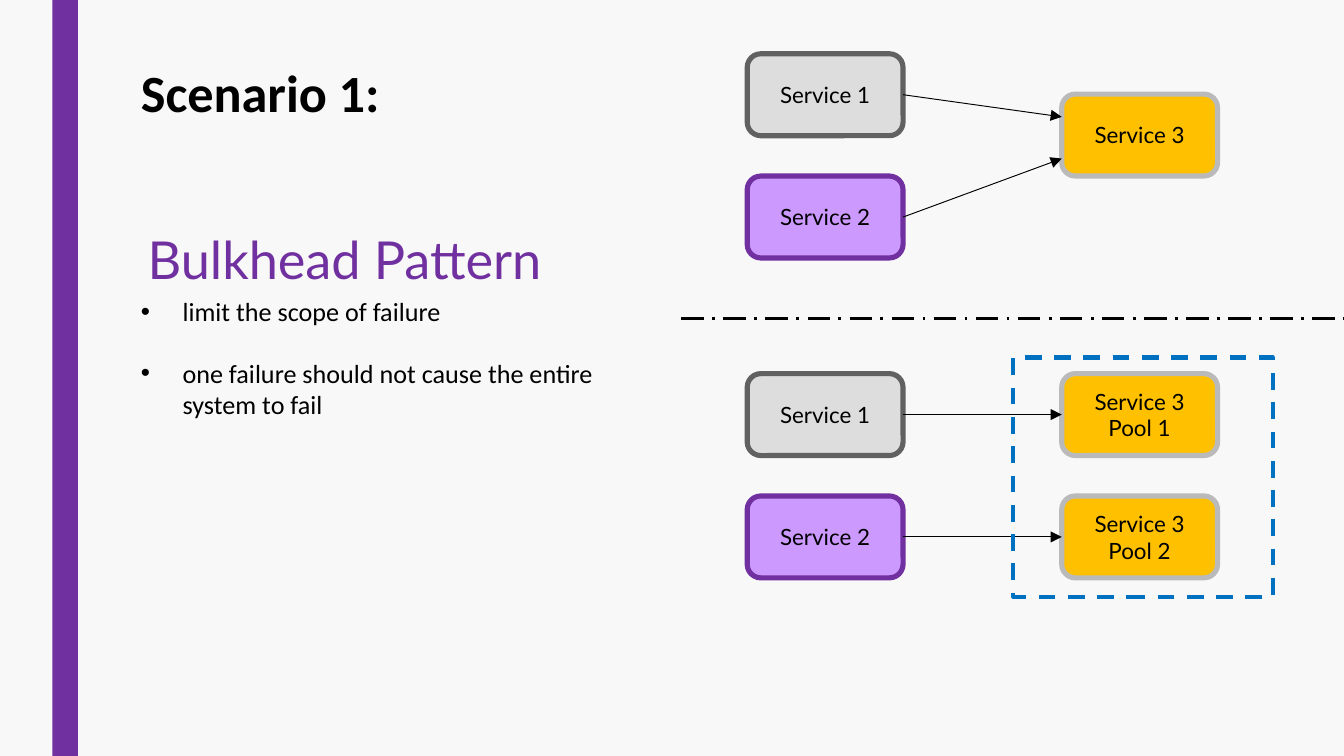
"""Build the Bulkhead Pattern slide comparing shared and pooled services."""
from dataclasses import dataclass

import pptx
import pptx.dml.color
import pptx.enum.dml
import pptx.enum.shapes
import pptx.enum.text
import pptx.oxml
import pptx.oxml.ns
import pptx.util

Inches = pptx.util.Inches
Pt = pptx.util.Pt
SHAPES = pptx.enum.shapes.MSO_SHAPE
ANCHOR = pptx.enum.text.MSO_ANCHOR
ALIGN = pptx.enum.text.PP_ALIGN
DASH = pptx.enum.dml.MSO_LINE

COLORS = {
    "background": "F8F8F8", "purple": "7030A0", "lilac": "CC99FF",
    "grey": "DDDDDD", "dark_grey": "616161", "amber": "FFC000",
    "silver": "BABABA", "blue": "0070C0", "black": "000000",
}
SLIDE_WIDTH = 10
SLIDE_HEIGHT = SLIDE_WIDTH * 9 / 16
BOX_WIDTH, BOX_HEIGHT = 1.16, 0.61
CALLER_LEFT, TARGET_LEFT = 5.56, 7.9
ROW_STEP = 0.91
SHARED_TOP, POOLED_TOP = 0.4, 2.78


@dataclass(frozen=True)
class Style:
    fill: str
    border: str


@dataclass(frozen=True)
class Service:
    label: str
    left: float
    top: float
    style: Style


CALLER_STYLES = [Style("grey", "dark_grey"), Style("lilac", "purple")]
TARGET_STYLE = Style("amber", "silver")


def rgb(color: str) -> pptx.dml.color.RGBColor:
    return pptx.dml.color.RGBColor.from_string(COLORS[color])


def format_text(frame, font: str, size: float, color: str, bold: bool = False) -> None:
    for paragraph in frame.paragraphs:
        for run in paragraph.runs:
            run.font.name = font
            run.font.size = Pt(size)
            run.font.bold = bold
            run.font.color.rgb = rgb(color)


def add_text(slide, text: str, left: float, top: float, width: float, height: float,
             inset: float = 0.1):
    box = slide.shapes.add_textbox(Inches(left), Inches(top), Inches(width), Inches(height))
    frame = box.text_frame
    frame.word_wrap = True
    frame.margin_left = frame.margin_right = Inches(0.1)
    frame.margin_top = frame.margin_bottom = Inches(inset)
    frame.text = text
    return frame


def add_bullets(frame) -> None:
    for paragraph in frame.paragraphs:
        paragraph.space_after = Pt(16)
        properties = paragraph._p.get_or_add_pPr()
        properties.set("marL", str(Inches(0.31)))
        properties.set("indent", str(Inches(-0.31)))
        namespace = pptx.oxml.ns.nsdecls("a")
        properties.append(pptx.oxml.parse_xml(f'<a:buFont {namespace} typeface="Arial"/>'))
        properties.append(pptx.oxml.parse_xml(f'<a:buChar {namespace} char="•"/>'))


def add_service(slide, service: Service):
    box = slide.shapes.add_shape(
        SHAPES.ROUNDED_RECTANGLE, Inches(service.left), Inches(service.top),
        Inches(BOX_WIDTH), Inches(BOX_HEIGHT))
    box.shadow.inherit = False
    box.fill.solid()
    box.fill.fore_color.rgb = rgb(service.style.fill)
    box.line.color.rgb = rgb(service.style.border)
    box.line.width = Pt(2.75)
    frame = box.text_frame
    frame.text = service.label
    frame.vertical_anchor = ANCHOR.MIDDLE
    for paragraph in frame.paragraphs:
        paragraph.alignment = ALIGN.CENTER
    format_text(frame, "Lato", 12, "black")
    return box


def add_callers(slide, top: float) -> list:
    return [add_service(slide, Service(f"Service {row + 1}", CALLER_LEFT,
                                       top + row * ROW_STEP, style))
            for row, style in enumerate(CALLER_STYLES)]


def add_line(slide, start: tuple[float, float], end: tuple[float, float], width: float):
    line = slide.shapes.add_connector(
        pptx.enum.shapes.MSO_CONNECTOR.STRAIGHT,
        *(Inches(value) for value in (*start, *end)))
    line.line.color.rgb = rgb("black")
    line.line.width = Pt(width)
    line._element.spPr.append(
        pptx.oxml.parse_xml(f'<a:effectLst {pptx.oxml.ns.nsdecls("a")}/>'))
    return line


def add_arrow(slide, caller, end_y: float, target=None) -> None:
    start = (CALLER_LEFT + BOX_WIDTH, (caller.top + caller.height / 2) / Inches(1))
    arrow = add_line(slide, start, (TARGET_LEFT, end_y), 0.5)
    arrow.begin_connect(caller, 3)
    if target is not None:
        arrow.end_connect(target, 1)
    arrow.line._get_or_add_ln().append(pptx.oxml.parse_xml(
        f'<a:tailEnd {pptx.oxml.ns.nsdecls("a")} type="triangle"/>'))


def add_rectangle(slide, left: float, top: float, width: float, height: float):
    rectangle = slide.shapes.add_shape(
        SHAPES.RECTANGLE, Inches(left), Inches(top), Inches(width), Inches(height))
    rectangle.shadow.inherit = False
    return rectangle


def main() -> None:
    presentation = pptx.Presentation()
    presentation.slide_width = Inches(SLIDE_WIDTH)
    presentation.slide_height = Inches(SLIDE_HEIGHT)
    slide = presentation.slides.add_slide(presentation.slide_layouts[6])
    slide.background.fill.solid()
    slide.background.fill.fore_color.rgb = rgb("background")

    side_band = add_rectangle(slide, 0.39, 0, 0.19, SLIDE_HEIGHT)
    side_band.fill.solid()
    side_band.fill.fore_color.rgb = rgb("purple")
    side_band.line.fill.background()

    pattern = add_text(slide, "Bulkhead Pattern", 1, 1.21, 3.79, 1.05)
    pattern.vertical_anchor = ANCHOR.BOTTOM
    format_text(pattern, "Lato", 28, "purple")

    goals = add_text(
        slide,
        "limit the scope of failure\n"
        "one failure should not cause the entire system to fail",
        0.95, 2.1, 3.79, 1.28)
    add_bullets(goals)
    format_text(goals, "Calibri", 14, "black")

    shared_callers = add_callers(slide, SHARED_TOP)
    add_service(slide, Service("Service 3", TARGET_LEFT, 0.7, TARGET_STYLE))
    for caller, end_y in zip(shared_callers, (0.87, 1.18)):
        add_arrow(slide, caller, end_y)

    divider = add_line(slide, (5.07, 2.37), (SLIDE_WIDTH, 2.37), 1.5)
    divider.line.dash_style = DASH.LONG_DASH_DOT

    for row, caller in enumerate(add_callers(slide, POOLED_TOP)):
        top = POOLED_TOP + row * ROW_STEP
        pool = add_service(slide, Service(f"Service 3\nPool {row + 1}", TARGET_LEFT,
                                          top, TARGET_STYLE))
        add_arrow(slide, caller, top + BOX_HEIGHT / 2, pool)

    pool_boundary = add_rectangle(slide, 7.54, 2.66, 1.93, 1.78)
    pool_boundary.fill.background()
    pool_boundary.line.color.rgb = rgb("blue")
    pool_boundary.line.width = Pt(2.25)
    pool_boundary.line.dash_style = DASH.DASH

    scenario = add_text(slide, "Scenario 1:", 0.95, 0.4, 2.71, 0.57, inset=0.05)
    scenario.auto_size = pptx.enum.text.MSO_AUTO_SIZE.SHAPE_TO_FIT_TEXT
    format_text(scenario, "Calibri", 28, "black", bold=True)

    presentation.save("out.pptx")


if __name__ == "__main__":
    main()
